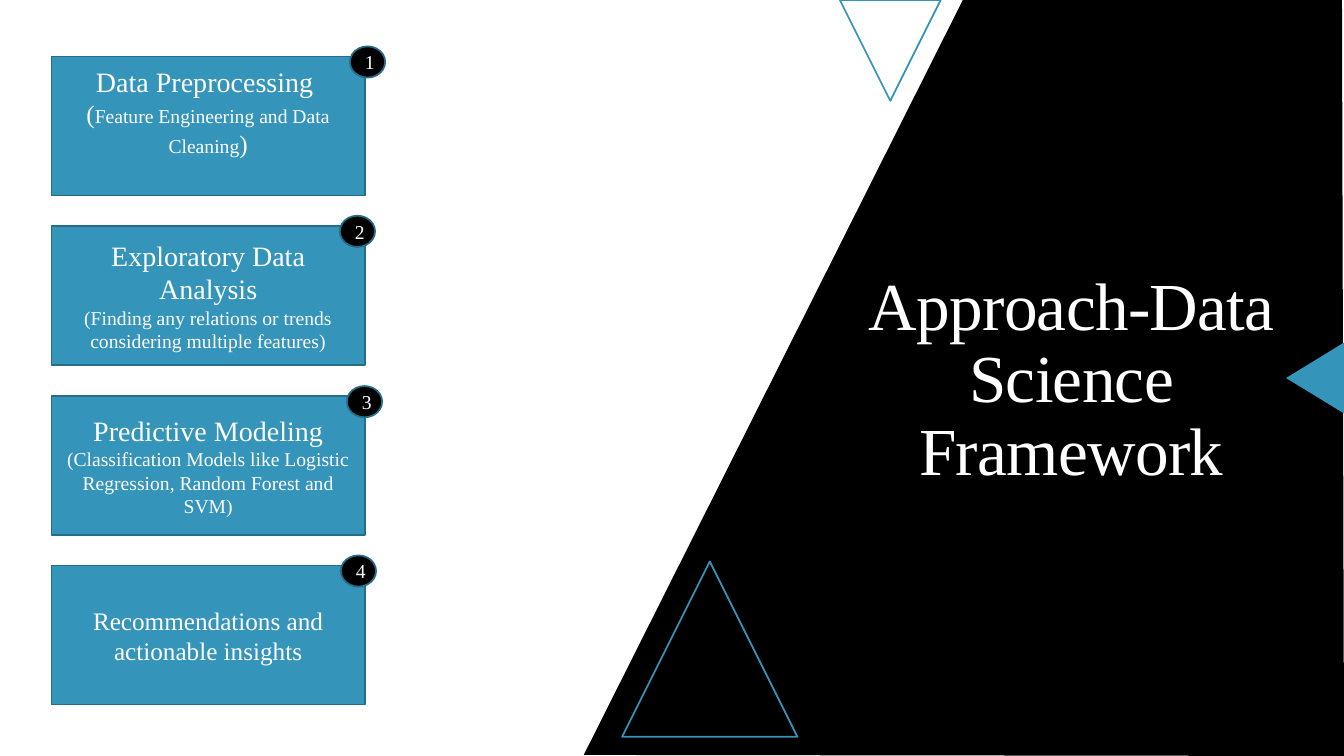
from dataclasses import dataclass

from pptx import Presentation
from pptx import util as u
from pptx.dml.color import RGBColor
from pptx.enum import shapes, text

PX = 9144  # EMU per px, 100 px to the inch
FONT = "Times New Roman"
BLACK = RGBColor(0x00, 0x00, 0x00)
WHITE = RGBColor(0xFF, 0xFF, 0xFF)
BLUE = RGBColor(0x34, 0x94, 0xBA)
DARK_BLUE = RGBColor(0x26, 0x6D, 0x8A)

Run = tuple[str, int]  # wording, size in points


@dataclass(frozen=True)
class Triangle:
    left: int
    top: int
    width: int
    height: int
    rotation: int = 0
    fill: RGBColor | None = None
    line: RGBColor | None = None


@dataclass(frozen=True)
class Step:
    paragraphs: list[list[Run]]
    badge_left: int
    bottom_inset: int = 5


TRIANGLES = [
    Triangle(833, 0, 100, 100, rotation=180, line=BLUE),
    Triangle(617, 557, 174, 174, line=BLUE),
    Triangle(1269, 346, 71, 58, rotation=270, fill=BLUE),
]
STEPS = [
    Step([[("Data Preprocessing ", 20)],
          [("(", 18), ("Feature Engineering and Data Cleaning", 14), (")", 18)]],
         347, bottom_inset=34),
    Step([[("Exploratory Data Analysis", 20)],
          [("(Finding any relations or trends considering multiple features)", 14)]],
         337),
    Step([[("Predictive Modeling", 20)],
          [("(Classification Models like Logistic Regression, Random Forest and SVM)", 14)]],
         344),
    Step([[("Recommendations and actionable insights", 18)]], 338),
]


def add_shape(s, kind, left: int, top: int, width: int, height: int,
              fill: RGBColor | None, line: RGBColor | None):
    sp = s.shapes.add_shape(kind, left * PX, top * PX, width * PX, height * PX)
    paint(sp, fill, line)
    return sp


def paint(sp, fill: RGBColor | None, line: RGBColor | None) -> None:
    sp.shadow.inherit = False
    if fill is None:
        sp.fill.background()
    else:
        sp.fill.solid()
        sp.fill.fore_color.rgb = fill
    if line is None:
        sp.line.fill.background()
    else:
        sp.line.color.rgb = line
        sp.line.width = u.Pt(1.25)


def write(sp, paragraphs: list[list[Run]]) -> None:
    """Fill a shape with centred white text, anchored in the middle."""
    tf = sp.text_frame
    tf.word_wrap = True
    tf.vertical_anchor = text.MSO_ANCHOR.MIDDLE
    for i, runs in enumerate(paragraphs):
        p = tf.add_paragraph() if i else tf.paragraphs[0]
        p.alignment = text.PP_ALIGN.CENTER
        for wording, size in runs:
            r = p.add_run()
            r.text = wording
            r.font.name = FONT
            r.font.size = u.Pt(size)
            r.font.color.rgb = WHITE


def add_dark_panel(s) -> None:
    builder = s.shapes.build_freeform(1333, 750, scale=PX)
    builder.add_line_segments([(579, 749), (955, 0), (1331, 0)], close=True)
    paint(builder.convert_to_shape(), BLACK, None)


def add_triangle(s, t: Triangle) -> None:
    sp = add_shape(s, shapes.MSO_SHAPE.ISOSCELES_TRIANGLE,
                   t.left, t.top, t.width, t.height, t.fill, t.line)
    sp.rotation = t.rotation


def add_title(s) -> None:
    sp = s.shapes.add_textbox(850 * PX, 214 * PX, 425 * PX, 328 * PX)
    write(sp, [[("Approach-Data Science Framework", 48)]])
    p = sp.text_frame.paragraphs[0]
    p.line_spacing = 0.9
    p.runs[0].font._element.set("spc", "-50")


def add_step(s, number: int, step: Step) -> None:
    top = 56 + (number - 1) * 337 // 2
    box = add_shape(s, shapes.MSO_SHAPE.RECTANGLE, 51, top, 311, 138, BLUE, DARK_BLUE)
    write(box, step.paragraphs)
    box.text_frame.margin_bottom = step.bottom_inset * PX
    badge = add_shape(s, shapes.MSO_SHAPE.OVAL, step.badge_left, top - 10, 35, 31,
                      BLACK, DARK_BLUE)
    write(badge, [[(str(number), 14)]])


def main() -> None:
    prs = Presentation()
    prs.slide_width, prs.slide_height = 1333 * PX, 750 * PX
    s = prs.slides.add_slide(prs.slide_layouts[6])
    add_dark_panel(s)
    for triangle in TRIANGLES:
        add_triangle(s, triangle)
    add_title(s)
    for number, step in enumerate(STEPS, start=1):
        add_step(s, number, step)
    prs.save("out.pptx")


if __name__ == "__main__":
    main()
